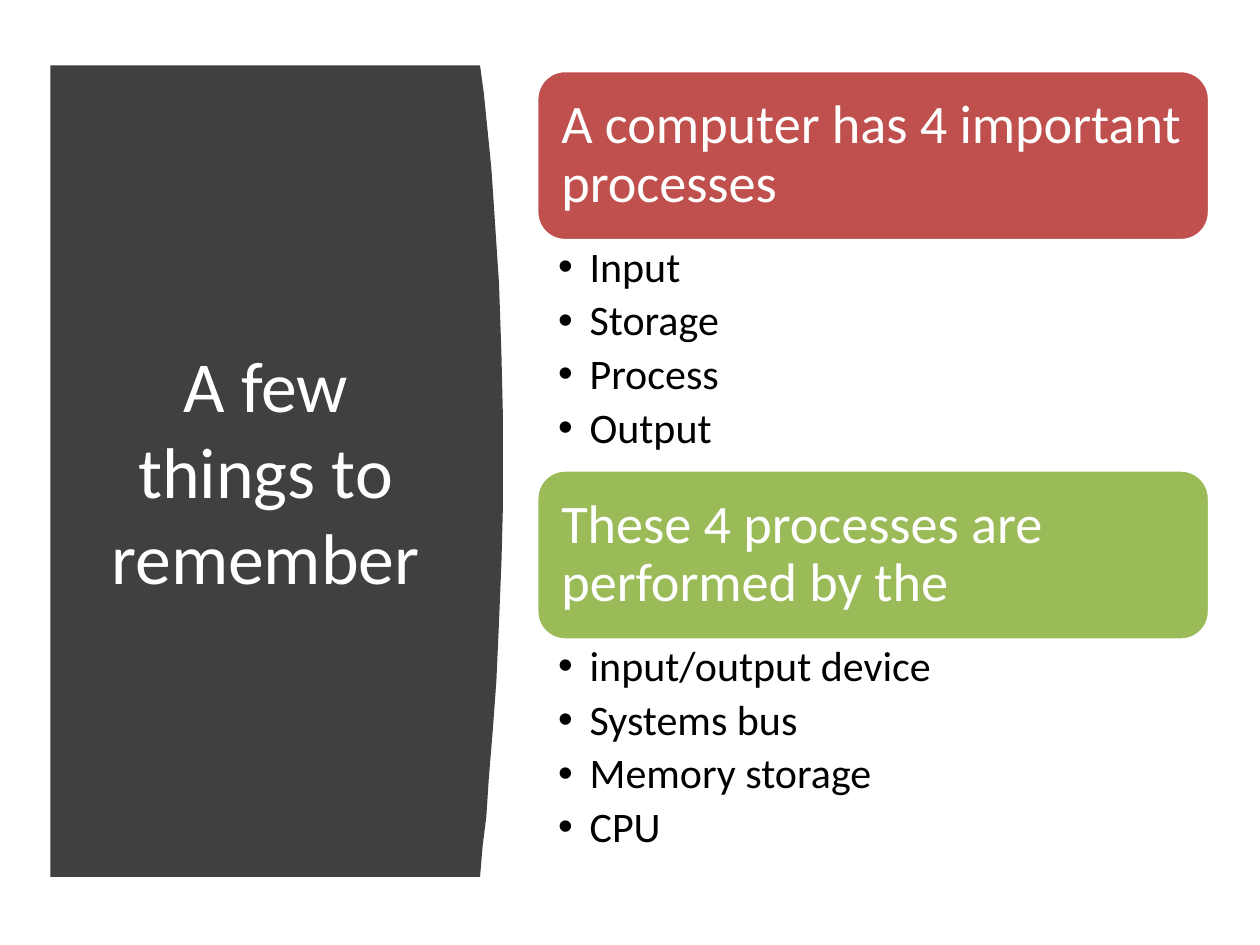
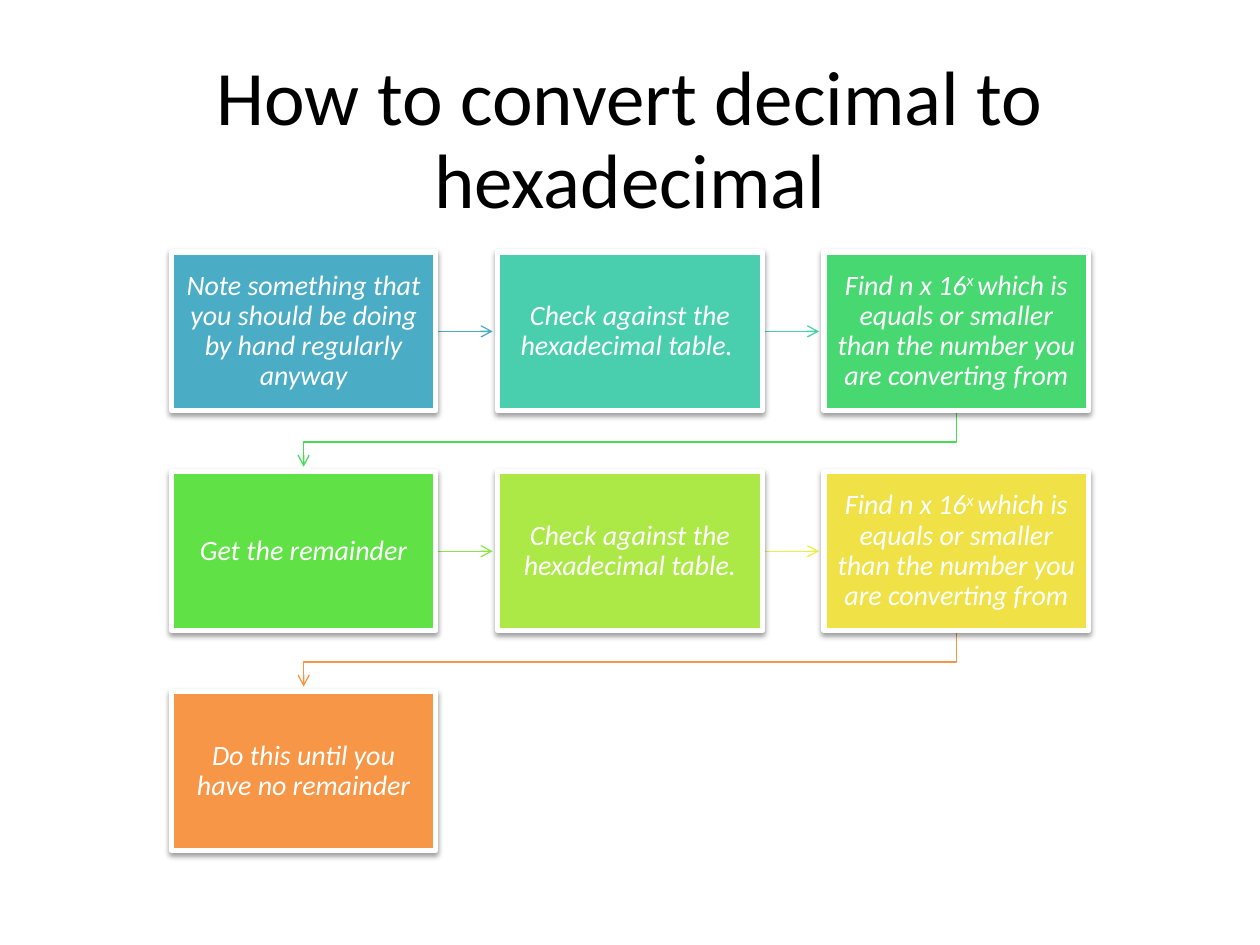
"""Build two slides: key points about computers, and a decimal to hexadecimal flow."""
from lxml import etree
from pptx import Presentation
from pptx.dml.color import RGBColor
from pptx.enum.shapes import MSO_CONNECTOR, MSO_SHAPE
from pptx.enum.text import MSO_ANCHOR, MSO_AUTO_SIZE, PP_ALIGN
from pptx.oxml.ns import qn
from pptx.util import Inches, Pt

FONT = "Calibri"
COLORS = {
    "white": "FFFFFF", "black": "000000", "panel": "404040",
    "red": "C0504D", "olive": "9BBB59",
    "blue": "4BACC6", "teal": "49CFAE", "teal_arrow": "49D1A3",
    "green": "47D872", "green_arrow": "47DC57", "grass": "60E146",
    "lime_arrow": "8DE646", "lime": "ACE946", "yellow": "F0E146",
    "yellow_arrow": "EEEF46", "orange": "F79646",
}

SECTIONS = [
    ("A computer has 4 important processes", "red",
     ["Input", "Storage", "Process", "Output"]),
    ("These 4 processes are performed by the", "olive",
     ["input/output device", "Systems bus", "Memory storage", "CPU"]),
]
PANEL_LEFT, PANEL_TOP, PANEL_BOTTOM = 0.4, 0.52, 6.96
PANEL_CURVE = [
    (3.81, 0.52), (3.84, 0.74), (3.87, 1.04), (3.9, 1.34), (3.92, 1.64),
    (3.94, 1.94), (3.96, 2.24), (3.97, 2.53), (3.98, 2.82), (3.99, 3.25),
    (3.99, 4.07), (3.98, 4.46), (3.96, 4.95), (3.94, 5.4), (3.91, 5.81),
    (3.88, 6.17), (3.86, 6.48), (3.83, 6.72), (3.81, 6.96),
]
SECTION_LEFT, SECTION_TOP, SECTION_W = 4.26, 0.56, 5.34
HEADING_H, LIST_H = 1.35, 1.82

FIND = [("Find n x 16", False), ("x ", True),
        ("which is equals or smaller than the number you are converting from", False)]
STEPS = [
    ([("Note something that you should be doing by hand regularly anyway", False)],
     "blue", "blue"),
    ([("Check against the hexadecimal table. ", False)], "teal", "teal_arrow"),
    (FIND, "green", "green_arrow"),
    ([("Get the remainder", False)], "grass", "lime_arrow"),
    ([("Check against the hexadecimal table.", False)], "lime", "yellow_arrow"),
    (FIND, "yellow", "orange"),
    ([("Do this until you have no remainder", False)], "orange", None),
]
COLUMNS = 3
STEP_LEFT, STEP_TOP, STEP_W, STEP_H = 1.36, 2, 2.1, 1.26
COLUMN_PITCH, ROW_PITCH = 2.59, (5.49 - 2) / 2
ARROW_GAP, BEND_DROP = 0.04, 0.25


def rgb(name):
    return RGBColor.from_string(COLORS[name])


def add_run(p, text, size, color, italic=False, raised=False):
    r = p.add_run()
    r.text = text
    r.font.name, r.font.size = FONT, Pt(size)
    r.font.color.rgb = rgb(color)
    if italic:
        r.font.italic = True
    if raised:
        r.font._element.set("baseline", "30000")


def set_frame(tf, insets, anchor):
    tf.word_wrap = True
    tf.auto_size = MSO_AUTO_SIZE.NONE
    tf.vertical_anchor = anchor
    tf.margin_left, tf.margin_top, tf.margin_right, tf.margin_bottom = map(Inches, insets)


def set_title(s, text, at, size, color, spacing=None):
    sp = s.shapes.title
    sp.left, sp.top, sp.width, sp.height = map(Inches, at)
    set_frame(sp.text_frame, (0.1, 0.05, 0.1, 0.05), MSO_ANCHOR.MIDDLE)
    p = sp.text_frame.paragraphs[0]
    p.alignment = PP_ALIGN.CENTER
    p.line_spacing = spacing
    add_run(p, text, size, color)


def add_box(s, kind, at, fill, line_width, insets, align):
    sp = s.shapes.add_shape(kind, *map(Inches, at))
    sp.shadow.inherit = False
    sp.fill.solid()
    sp.fill.fore_color.rgb = rgb(fill)
    sp.line.color.rgb = rgb("white")
    sp.line.width = Pt(line_width)
    set_frame(sp.text_frame, insets, MSO_ANCHOR.MIDDLE)
    p = sp.text_frame.paragraphs[0]
    p.alignment, p.line_spacing = align, 0.9
    return sp, p


def add_panel(s):
    start, *rest = [(Inches(x), Inches(y)) for x, y in
                    [(PANEL_LEFT, PANEL_TOP), *PANEL_CURVE, (PANEL_LEFT, PANEL_BOTTOM)]]
    builder = s.shapes.build_freeform(*start)
    builder.add_line_segments(rest, close=True)
    sp = builder.convert_to_shape()
    sp.shadow.inherit = False
    sp.fill.solid()
    sp.fill.fore_color.rgb = rgb("panel")
    sp.line.fill.background()
    s.shapes.title._element.addprevious(sp._element)


def add_bullets(s, items, at):
    tf = s.shapes.add_textbox(*map(Inches, at)).text_frame
    set_frame(tf, (0.17, 0.04, 0.24, 0.04), MSO_ANCHOR.TOP)
    for i, item in enumerate(items):
        p = tf.add_paragraph() if i else tf.paragraphs[0]
        p.level, p.line_spacing, p.space_after = 1, 0.9, Pt(4.8)
        pPr = p._p.get_or_add_pPr()
        pPr.set("marL", str(Inches(0.25)))
        pPr.set("indent", str(-Inches(0.25)))
        etree.SubElement(pPr, qn("a:buFont"), typeface="Arial")
        etree.SubElement(pPr, qn("a:buChar"), char="•")
        add_run(p, item, 24, "black")


def add_shadow(sp):
    effects = sp._element.spPr.find(qn("a:effectLst"))
    shadow = etree.SubElement(effects, qn("a:outerShdw"), blurRad=str(Pt(3.1)),
                              dist=str(Pt(1.6)), dir="5400000", rotWithShape="0")
    color = etree.SubElement(shadow, qn("a:srgbClr"), val=COLORS["black"])
    etree.SubElement(color, qn("a:alpha"), val="38000")


def style_arrow(arrow, color):
    arrow.line.color.rgb = rgb(color)
    arrow.line.width = Pt(0.75)
    ln = arrow._element.spPr.find(qn("a:ln"))
    etree.SubElement(ln, qn("a:tailEnd"), type="arrow")


def add_across_arrow(s, box, color):
    x, y = box.left + box.width, box.top + box.height // 2
    end = box.left + Inches(COLUMN_PITCH - ARROW_GAP)
    arrow = s.shapes.add_connector(MSO_CONNECTOR.STRAIGHT, x, y, end, y)
    arrow.begin_connect(box, 3)
    style_arrow(arrow, color)
    etree.SubElement(arrow._element.spPr, qn("a:effectLst"))
    return arrow


def add_return_arrow(s, box, color):
    x, y = box.left + box.width // 2, box.top + box.height
    first_x = Inches(STEP_LEFT + STEP_W / 2)
    bend = y + Inches(BEND_DROP)
    end = box.top + Inches(ROW_PITCH - ARROW_GAP)
    builder = s.shapes.build_freeform(x, y)
    builder.add_line_segments([(x, bend), (first_x, bend), (first_x, end)], close=False)
    arrow = builder.convert_to_shape()
    arrow.shadow.inherit = False
    arrow.fill.background()
    style_arrow(arrow, color)
    return arrow


def build_summary(s):
    add_panel(s)
    set_title(s, "A few things to remember", (0.71, 1.11, 2.8, 5.24), 41, "white")
    for i, (heading, color, items) in enumerate(SECTIONS):
        top = SECTION_TOP + i * (HEADING_H + LIST_H)
        _, p = add_box(s, MSO_SHAPE.ROUNDED_RECTANGLE,
                       (SECTION_LEFT, top, SECTION_W, HEADING_H),
                       color, 2, (0.13,) * 4, PP_ALIGN.LEFT)
        add_run(p, heading, 31, "white")
        add_bullets(s, items, (SECTION_LEFT, top + HEADING_H, SECTION_W, LIST_H))


def build_flow(s):
    set_title(s, "How to convert decimal to hexadecimal",
              (0.69, 0.4, 8.62, 1.45), 44, "black", 0.9)
    for i, (runs, fill, arrow_color) in enumerate(STEPS):
        row, col = divmod(i, COLUMNS)
        at = (STEP_LEFT + col * COLUMN_PITCH, STEP_TOP + row * ROW_PITCH, STEP_W, STEP_H)
        box, p = add_box(s, MSO_SHAPE.RECTANGLE, at, fill, 3,
                         (0.1, 0.11, 0.1, 0.11), PP_ALIGN.CENTER)
        add_shadow(box)
        for text, raised in runs:
            add_run(p, text, 16, "white", italic=True, raised=raised)
        if arrow_color:
            add_arrow = add_return_arrow if col == COLUMNS - 1 else add_across_arrow
            arrow = add_arrow(s, box, arrow_color)
            box._element.addprevious(arrow._element)


def main():
    prs = Presentation()
    prs.slide_width, prs.slide_height = Inches(10), Inches(7.5)
    for build in (build_summary, build_flow):
        build(prs.slides.add_slide(prs.slide_layouts[5]))
    prs.save("out.pptx")


if __name__ == "__main__":
    main()
